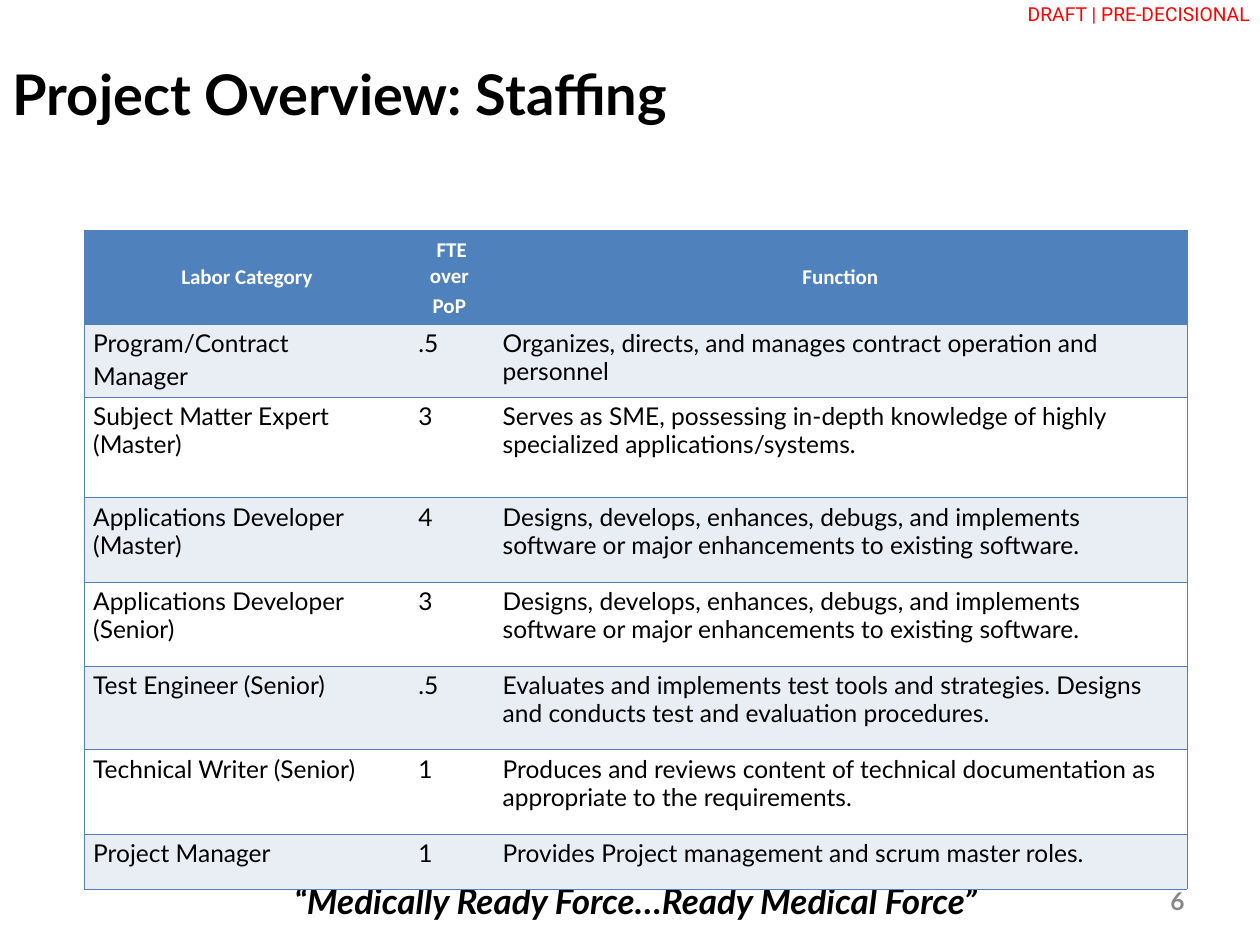
import dataclasses

import pptx
import pptx.dml.color
import pptx.enum.text
import pptx.oxml.ns
import pptx.util
import lxml.etree

Inches = pptx.util.Inches
Pt = pptx.util.Pt
ALIGN = pptx.enum.text.PP_ALIGN
MIDDLE = pptx.enum.text.MSO_ANCHOR.MIDDLE


@dataclasses.dataclass(frozen=True)
class Theme:
    ink: str = "000000"
    paper: str = "FFFFFF"
    accent: str = "4F81BD"
    band: str = "E9EDF4"
    alert: str = "FF0000"
    muted: str = "898989"
    main_font: str = "Lato"
    header_font: str = "Calibri"
    label_font: str = "Roboto"
    title_size: int = 32
    motto_size: int = 20
    body_size: int = 14
    header_size: int = 12
    label_size: int = 11
    border: float = 0.23


HEADERS = ["Labor Category", "FTE over \nPoP ", "Function"]
SOFTWARE = ("Designs, develops, enhances, debugs, and implements software "
            "or major enhancements to existing software.")
STAFF = [
    ["Program/Contract\nManager", ".5",
     "Organizes, directs, and manages contract operation and personnel"],
    ["Subject Matter Expert (Master)", "3",
     "Serves as SME, possessing in-depth knowledge of highly specialized applications/systems."],
    ["Applications Developer (Master)", "4", SOFTWARE],
    ["Applications Developer (Senior)", "3", SOFTWARE],
    ["Test Engineer (Senior)", ".5",
     "Evaluates and implements test tools and strategies. "
     "Designs and conducts test and evaluation procedures."],
    ["Technical Writer (Senior)", "1",
     "Produces and reviews content of technical documentation as appropriate to the requirements."],
    ["Project Manager", "1", "Provides Project management and scrum master roles."],
]
COL_WIDTHS = [2.58, 0.67, 5.5]
ROW_HEIGHTS = [0.69, 0.54, 0.8, 0.67, 0.67, 0.66, 0.67, 0.44]


class SlideBuilder:
    def __init__(self, slide, theme):
        self.s = slide
        self.theme = theme

    def style(self, p, size, color, font=None, bold=False, italic=False, align=ALIGN.LEFT):
        p.alignment = align
        p.font.size = Pt(size)
        p.font.name = font or self.theme.main_font
        p.font.bold = bold
        p.font.italic = italic
        p.font.color.rgb = pptx.dml.color.RGBColor.from_string(color)

    def title(self, text, left, top, width, height):
        sp = self.s.shapes.title
        sp.left, sp.top, sp.width, sp.height = map(Inches, (left, top, width, height))
        tf = sp.text_frame
        tf.text = text
        tf.vertical_anchor = MIDDLE
        self.style(tf.paragraphs[0], self.theme.title_size, self.theme.ink, bold=True)

    def text(self, text, left, top, width, height, size, color, anchor=MIDDLE, **style):
        sp = self.s.shapes.add_textbox(*map(Inches, (left, top, width, height)))
        tf = sp.text_frame
        tf.word_wrap = True
        tf.vertical_anchor = anchor
        p = tf.paragraphs[0]
        p.text = text
        self.style(p, size, color, **style)
        return p

    def borders(self, cell, shown):
        """Draw the sides named in shown and clear the others."""
        tc_pr = cell._tc.get_or_add_tcPr()
        qn = pptx.oxml.ns.qn
        for i, side in enumerate("LRTB"):
            ln = lxml.etree.Element(qn(f"a:ln{side}"), w=str(Pt(self.theme.border)))
            if side in shown:
                fill = lxml.etree.SubElement(ln, qn("a:solidFill"))
                lxml.etree.SubElement(fill, qn("a:srgbClr"), val=self.theme.accent)
            else:
                lxml.etree.SubElement(ln, qn("a:noFill"))
            tc_pr.insert(i, ln)

    def cell(self, cell, text, fill, header):
        t = self.theme
        cell.margin_left = cell.margin_right = Inches(0.07)
        cell.fill.solid()
        cell.fill.fore_color.rgb = pptx.dml.color.RGBColor.from_string(fill)
        cell.text = text
        if header:
            cell.vertical_anchor = MIDDLE
        first, rest = (1.02, 1.17) if header else (0.95, 1.09)
        for i, p in enumerate(cell.text_frame.paragraphs):
            p.line_spacing = rest if i else first
            if header:
                self.style(p, t.header_size, t.paper, t.header_font, bold=True,
                           align=ALIGN.CENTER)
            else:
                self.style(p, t.body_size, t.ink)

    def table(self, rows, left, top, col_widths, row_heights):
        t = self.theme
        table = self.s.shapes.add_table(
            len(rows), len(col_widths), Inches(left), Inches(top),
            Inches(sum(col_widths)), Inches(sum(row_heights))).table
        for column, width in zip(table.columns, col_widths):
            column.width = Inches(width)
        for row, height in zip(table.rows, row_heights):
            row.height = Inches(height)
        last = len(col_widths) - 1
        for r, values in enumerate(rows):
            fill = t.accent if r == 0 else t.band if r % 2 else t.paper
            for c, value in enumerate(values):
                cell = table.cell(r, c)
                self.cell(cell, value, fill, header=r == 0)
                self.borders(cell, "TB" + ("L" if c == 0 else "R" if c == last else ""))


def main():
    prs = pptx.Presentation()
    prs.slide_width, prs.slide_height = Inches(10), Inches(7.5)
    theme = Theme()
    page = SlideBuilder(prs.slides.add_slide(prs.slide_layouts[5]), theme)

    # Draft marking and title
    p = page.text("DRAFT | PRE-DECISIONAL", 7.35, 0.02, 2.67, 0.23, theme.label_size,
                  theme.alert, anchor=pptx.enum.text.MSO_ANCHOR.TOP,
                  font=theme.label_font, align=ALIGN.RIGHT)
    p.line_spacing = 0.7
    p.space_before = Pt(2.8)
    page.title("Project Overview: Staffing", 0, -0.05, 7.67, 1.58)

    # Footer
    page.text("“Medically Ready Force…Ready Medical Force”", 1.92, 6.95, 6.25, 0.4,
              theme.motto_size, theme.ink, bold=True, italic=True, align=ALIGN.CENTER)
    page.text("6", 8.33, 6.95, 1.17, 0.4, theme.body_size, theme.muted,
              bold=True, align=ALIGN.RIGHT)

    # Staffing table
    page.table([HEADERS] + STAFF, 0.67, 1.83, COL_WIDTHS, ROW_HEIGHTS)

    prs.save("out.pptx")


if __name__ == "__main__":
    main()
